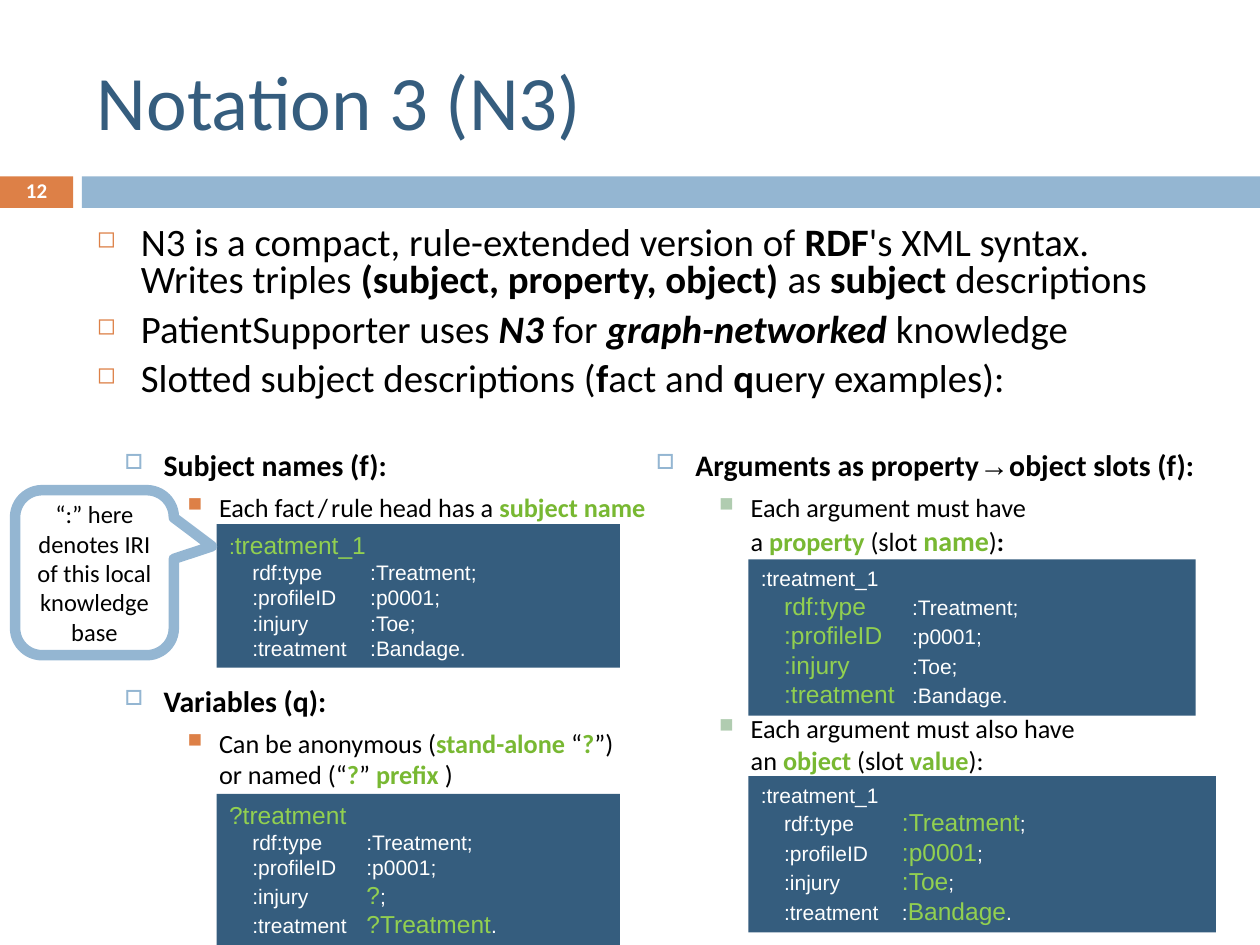
from dataclasses import dataclass
from typing import NamedTuple, Optional

from lxml.etree import SubElement
from pptx import Presentation
from pptx.dml.color import RGBColor
from pptx.enum.shapes import MSO_SHAPE
from pptx.enum.text import MSO_ANCHOR, PP_ALIGN
from pptx.oxml.ns import qn
from pptx.util import Inches, Pt

NAVY, BLUE, ORANGE, SAGE = "355D7E", "94B6D2", "DD8047", "B0CCB0"
GREEN, LIME, BLACK, WHITE = "78B832", "92D050", "000000", "FFFFFF"


class Box(NamedTuple):
    left: float
    top: float
    width: float
    height: float


class Span(NamedTuple):
    text: str
    size: float
    color: str = BLACK
    bold: bool = False
    italic: bool = False
    font: str = "Calibri"


@dataclass
class Bullet:
    mark: str
    color: str
    percent: int
    margin: float
    hanging: float
    level: int


@dataclass
class Item:
    bullet: Bullet
    spans: list[Span]
    before: float = 0
    spacing: Optional[float] = None


@dataclass
class Snippet:
    box: Box
    value_column: float
    lines: list[list[Span]]


def rgb(value: str) -> RGBColor:
    return RGBColor.from_string(value)


def add_block(slide, kind, box: Box, fill: str, line: Optional[str] = None):
    block = slide.shapes.add_shape(kind, *map(Inches, box))
    block.shadow.inherit = False
    block.fill.solid()
    block.fill.fore_color.rgb = rgb(fill)
    if line:
        block.line.color.rgb = rgb(line)
        block.line.width = Pt(6)
    else:
        block.line.fill.background()
    block.text_frame.word_wrap = True
    return block


def add_frame(slide, box: Box, anchor=MSO_ANCHOR.TOP):
    frame = slide.shapes.add_textbox(*map(Inches, box)).text_frame
    frame.word_wrap = True
    frame.vertical_anchor = anchor
    return frame


def write(paragraph, spans: list[Span]) -> None:
    for span in spans:
        for number, piece in enumerate(span.text.split("\n")):
            if number:
                paragraph.add_line_break()
            run = paragraph.add_run()
            run.text = piece
            run.font.name = span.font
            run.font.size = Pt(span.size)
            run.font.bold = span.bold
            run.font.italic = span.italic
            run.font.color.rgb = rgb(span.color)


def next_paragraph(frame, index: int):
    return frame.add_paragraph() if index else frame.paragraphs[0]


def set_bullet(paragraph, bullet: Bullet) -> None:
    paragraph.level = bullet.level
    properties = paragraph._p.get_or_add_pPr()
    properties.set("marL", str(Inches(bullet.margin)))
    properties.set("indent", str(Inches(-bullet.hanging)))
    color = SubElement(properties, qn("a:buClr"))
    SubElement(color, qn("a:srgbClr"), val=bullet.color)
    SubElement(properties, qn("a:buSzPct"), val=str(bullet.percent * 1000))
    SubElement(properties, qn("a:buChar"), char=bullet.mark)


def add_list(slide, box: Box, items: list[Item]) -> None:
    frame = add_frame(slide, box)
    for index, item in enumerate(items):
        paragraph = next_paragraph(frame, index)
        set_bullet(paragraph, item.bullet)
        paragraph.space_before = Pt(item.before)
        if item.spacing:
            paragraph.line_spacing = item.spacing
        write(paragraph, item.spans)


def add_snippet(slide, snippet: Snippet) -> None:
    block = add_block(slide, MSO_SHAPE.RECTANGLE, snippet.box, NAVY)
    frame = block.text_frame
    frame.vertical_anchor = MSO_ANCHOR.TOP
    for index, spans in enumerate(snippet.lines):
        paragraph = next_paragraph(frame, index)
        paragraph.alignment = PP_ALIGN.LEFT
        tabs = SubElement(paragraph._p.get_or_add_pPr(), qn("a:tabLst"))
        SubElement(tabs, qn("a:tab"), pos=str(Inches(snippet.value_column)), algn="l")
        write(paragraph, spans)


def code(text: str) -> Span:
    return Span(text, 12, WHITE, font="Arial")


def marked(text: str, size: float = 14) -> Span:
    return Span(text, size, LIME, font="Arial")


def lead(text: str, bold: bool = False, italic: bool = False) -> Span:
    return Span(text, 22.2, BLACK, bold, italic)


def heading(text: str, font: str = "Calibri") -> Span:
    return Span(text, 17, BLACK, True, font=font)


def plain(text: str) -> Span:
    return Span(text, 15)


def key(text: str, size: float = 15) -> Span:
    return Span(text, size, GREEN, True)


def main() -> None:
    deck = Presentation()
    deck.slide_width, deck.slide_height = Inches(10), Inches(7.5)
    slide = deck.slides.add_slide(deck.slide_layouts[6])
    add_block(slide, MSO_SHAPE.RECTANGLE, Box(0, 1.4, 0.58, 0.25), ORANGE)
    add_block(slide, MSO_SHAPE.RECTANGLE, Box(0.65, 1.4, 9.35, 0.25), BLUE)
    title = add_frame(slide, Box(0.67, 0.25, 8.92, 1.08), MSO_ANCHOR.MIDDLE)
    write(title.paragraphs[0], [Span("Notation 3 (N3)", 44, NAVY)])

    top = Bullet("◻", ORANGE, 60, 0.35, 0.35, 0)
    section = Bullet("□", BLUE, 70, 0.81, 0.31, 1)
    left_point = Bullet("■", ORANGE, 75, 1.25, 0.25, 2)
    right_point = Bullet("■", SAGE, 75, 1.25, 0.25, 2)

    add_list(slide, Box(0.67, 1.75, 9.33, 1.83), [
        Item(top, [lead("N3 is a compact, rule-extended version of "), lead("RDF", True),
                   lead("'s XML syntax.\nWrites triples "),
                   lead("(subject, property, object) ", True), lead("as "),
                   lead("subject", True), lead(" descriptions")], 0, 0.8),
        Item(top, [lead("PatientSupporter uses "), lead("N3 ", True, True), lead("for "),
                   lead("graph-networked", True, True), lead(" knowledge")], 7, 0.8),
        Item(top, [lead("Slotted subject descriptions ("), lead("f", True), lead("act and "),
                   lead("q", True), lead("uery examples):")], 7, 0.8),
    ])
    thin = Span(" ", 8)
    add_list(slide, Box(0.39, 3.5, 5, 3.05), [
        Item(section, [heading("Subject names (f):")]),
        Item(left_point, [plain("Each fact"), thin, plain("/"), thin,
                          plain("rule head has a "), key("subject name")], 5),
        Item(section, [heading("Variables (q):")], 91),
        Item(left_point, [plain("Can be anonymous ("), key("stand-alone "), plain("“"), key("?"),
                          plain("”)\nor named (“"), key("?"), plain("” "), key("prefix "),
                          plain(")")], 5),
    ])
    add_list(slide, Box(4.61, 3.5, 5.31, 3.05), [
        Item(section, [heading("Arguments as property"), heading("→", "Arial"),
                       heading("object slots (f):")]),
        Item(right_point, [plain("Each argument must have \na "), key("property "), plain("(slot "),
                           key("name", 16), plain(")"), Span(":", 15, bold=True)], 5),
        Item(right_point, [plain("Each argument must also have\nan "), key("object "),
                           plain("(slot "), key("value"), plain("):")], 89),
    ])

    slots = [("rdf:type", ":Treatment", ";"), (":profileID", ":p0001", ";"),
             (":injury", ":Toe", ";"), (":treatment", ":Bandage", ".")]
    facts = [[code(f"    {name}\t{value}{end}")] for name, value, end in slots]
    named = [[code("    "), marked(name), code(f"\t{value}{end}")] for name, value, end in slots]
    valued = [[code(f"    {name}\t"), marked(value), code(end)] for name, value, end in slots[:3]]
    bandage = [code("    :treatment\t:"), marked("Bandage"), code(".")]
    unknowns = [[code("    :injury\t"), marked("?"), code(";")],
                [code("    :treatment\t"), marked("?Treatment"), code(".")]]
    subject = [code(":treatment_1")]
    for snippet in (
        Snippet(Box(1.72, 6.3, 3.2, 1.2), 1.09, [[marked("?treatment")], *facts[:2], *unknowns]),
        Snippet(Box(5.94, 4.44, 3.55, 1.24), 1.2, [subject, *named]),
        Snippet(Box(5.94, 6.16, 3.71, 1.24), 1.12, [subject, *valued, bandage]),
        Snippet(Box(1.72, 4.16, 3.2, 1.14), 1.12,
                [[marked(":", 12), marked("treatment_1")], *facts]),
    ):
        add_snippet(slide, snippet)

    callout = add_block(slide, MSO_SHAPE.ROUNDED_RECTANGULAR_CALLOUT,
                        Box(0.12, 3.89, 1.26, 1.31), WHITE, BLUE)
    for index, adjustment in enumerate((0.737, -0.161, 0.167)):
        callout.adjustments[index] = round(adjustment, 2)
    callout.text_frame.vertical_anchor = MSO_ANCHOR.MIDDLE
    note = callout.text_frame.paragraphs[0]
    note.alignment = PP_ALIGN.CENTER
    write(note, [Span("“:” here denotes IRI of this local knowledge base", 14)])

    page = add_frame(slide, Box(0, 1.39, 0.58, 0.27), MSO_ANCHOR.MIDDLE).paragraphs[0]
    page.alignment = PP_ALIGN.CENTER
    page.line_spacing = 0.8
    write(page, [Span("12", 12, WHITE, True)])
    deck.save("out.pptx")


if __name__ == "__main__":
    main()
